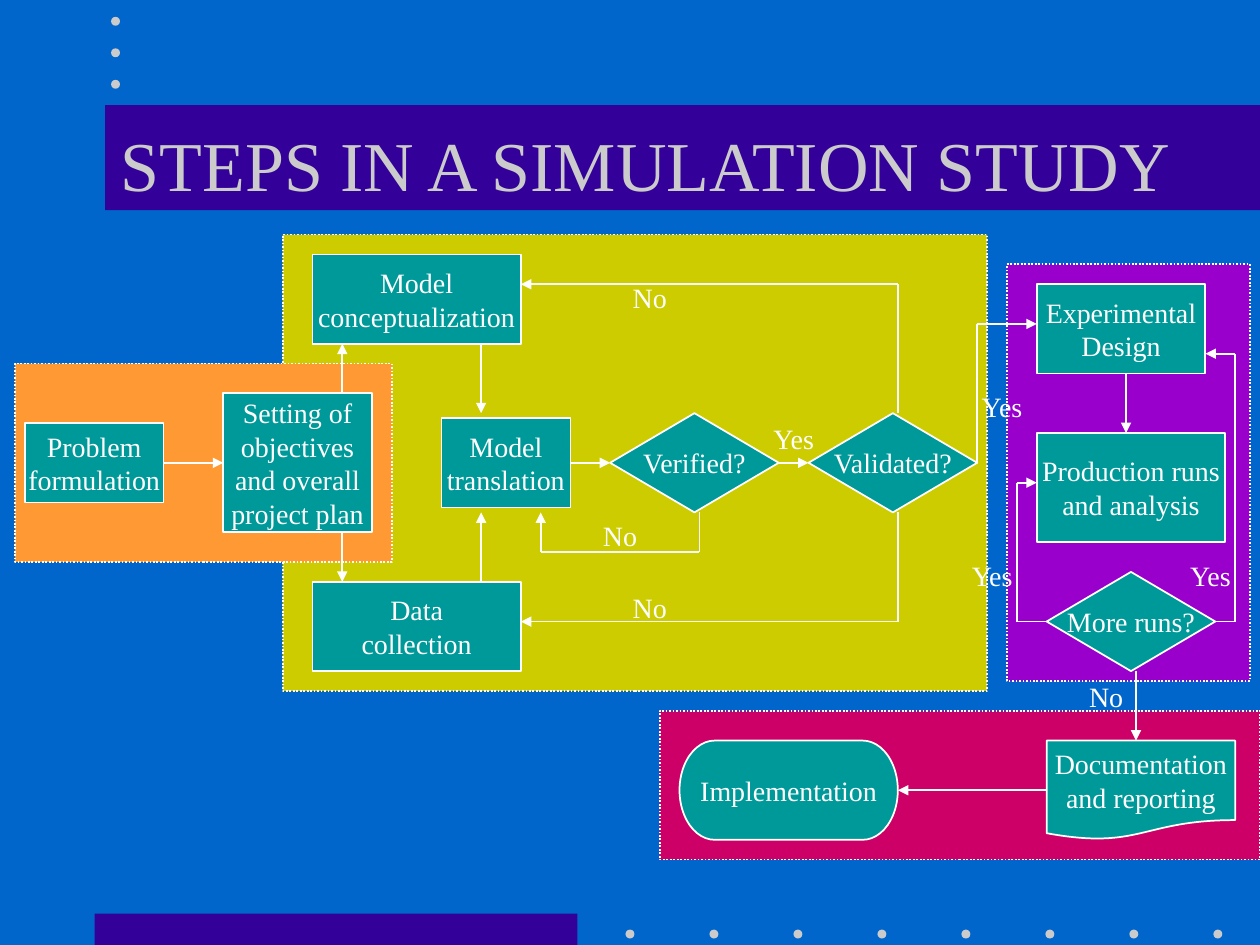
from itertools import pairwise

from lxml import etree
from pptx import Presentation
from pptx import util as u
from pptx.dml.color import RGBColor
from pptx.enum import dml, shapes, text
from pptx.oxml.ns import qn

BLUE = RGBColor(0x00, 0x66, 0xCC)
INDIGO = RGBColor(0x33, 0x00, 0x99)
GREY = RGBColor(0xCB, 0xCB, 0xCB)
WHITE = RGBColor(0xFF, 0xFF, 0xFF)
TEAL = RGBColor(0x00, 0x99, 0x99)
PINK = RGBColor(0xCC, 0x00, 0x66)
PURPLE = RGBColor(0x99, 0x00, 0xCC)
YELLOW = RGBColor(0xCC, 0xCC, 0x00)
ORANGE = RGBColor(0xFF, 0x99, 0x33)
FONT = "Times New Roman"
KIND = shapes.MSO_SHAPE
BAND_H = 2.12
DOT = 0.18


def write(frame, wording, size=16, color=WHITE):
    """Fill a text frame with centred lines."""
    frame.text = wording
    for paragraph in frame.paragraphs:
        paragraph.alignment = text.PP_ALIGN.CENTER
        for run in paragraph.runs:
            run.font.name = FONT
            run.font.size = u.Pt(size)
            run.font.color.rgb = color


def block(slide, kind, box, fill, outline=None):
    """Add a flat shape with an optional outline colour."""
    shape = slide.shapes.add_shape(kind, *map(u.Cm, box))
    shape.shadow.inherit = False
    shape.fill.solid()
    shape.fill.fore_color.rgb = fill
    if outline is None:
        shape.line.fill.background()
    else:
        shape.line.color.rgb = outline
        shape.line.width = u.Pt(1)
    return shape


def panel(slide, box, fill):
    """Add the dotted background of a phase."""
    backdrop = block(slide, KIND.RECTANGLE, box, fill, WHITE)
    backdrop.line.dash_style = dml.MSO_LINE.ROUND_DOT


def step(slide, box, place, wording, kind=KIND.RECTANGLE):
    """Add a step of the study, placed relative to its phase box."""
    x, y, width, height = place
    shape = block(slide, kind, (box[0] + x, box[1] + y, width, height), TEAL, WHITE)
    frame = shape.text_frame
    frame.word_wrap = False
    frame.vertical_anchor = text.MSO_ANCHOR.MIDDLE
    write(frame, wording)


def route(slide, box, *points):
    """Join points with straight lines, ending in an arrowhead."""
    placed = [(u.Cm(box[0] + x), u.Cm(box[1] + y)) for x, y in points]
    for start, end in pairwise(placed):
        link = slide.shapes.add_connector(shapes.MSO_CONNECTOR.STRAIGHT, *start, *end)
        link.line.color.rgb = WHITE
        link.line.width = u.Pt(1)
        etree.SubElement(link.element.spPr, qn("a:effectLst"))
    etree.SubElement(link.line._get_or_add_ln(), qn("a:tailEnd"), type="triangle")


def answer(slide, box, x, y, wording):
    """Add a Yes or No label."""
    width = 1.2 if wording == "No" else 1.8
    label = slide.shapes.add_textbox(*map(u.Cm, (box[0] + x, box[1] + y, width, 0.94)))
    label.text_frame.word_wrap = True
    write(label.text_frame, wording)


def heading(slide, box):
    """Add the title band with its text and the dots above."""
    x, y, width, height = box
    block(slide, KIND.RECTANGLE, box, INDIGO)
    for i in range(3):
        block(slide, KIND.OVAL, (x + 0.12, y - 1.78 + i * 0.635, DOT, DOT), GREY)
    title = slide.shapes.add_textbox(
        *map(u.Cm, (x - 0.21, y - 0.42, 22.2, height + 1.06)))
    title.text_frame.word_wrap = True
    title.text_frame.vertical_anchor = text.MSO_ANCHOR.MIDDLE
    write(title.text_frame, "STEPS IN A SIMULATION STUDY", 40, GREY)


def footer(slide, box):
    """Add the bottom bar and its row of dots."""
    x, y, width, height = box
    block(slide, KIND.RECTANGLE, box, INDIGO)
    for i in range(8):
        dot = (x + width + 0.97 + i * 1.693, y + 0.32, DOT, DOT)
        block(slide, KIND.OVAL, dot, GREY)


def planning(slide, box):
    """Add problem formulation and project planning."""
    step(slide, box, (0.2, 1.2, 2.8, 1.6), "Problem\nformulation")
    step(slide, box, (4.2, 0.6, 3, 2.8),
         "Setting of\nobjectives\nand overall\nproject plan")
    route(slide, box, (3, 2), (4.2, 2))
    route(slide, box, (6.6, 3.4), (6.6, 4.4))
    route(slide, box, (6.6, 0.6), (6.6, -0.4))


def modelling(slide, box):
    """Add model building, verification and validation."""
    step(slide, box, (0.6, 0.4, 4.2, 1.8), "Model\nconceptualization")
    step(slide, box, (0.6, 7, 4.2, 1.8), "Data\ncollection")
    step(slide, box, (3.2, 3.7, 2.6, 1.8), "Model\ntranslation")
    for x, wording in ((6.6, "Verified?"), (10.6, "Validated?")):
        step(slide, box, (x, 3.6, 3.4, 2), wording, KIND.DIAMOND)
    route(slide, box, (4, 2.2), (4, 3.6))
    route(slide, box, (4, 7), (4, 5.6))
    route(slide, box, (5.8, 4.6), (6.6, 4.6))
    route(slide, box, (10, 4.6), (10.6, 4.6))
    route(slide, box, (8.4, 5.6), (8.4, 6.4), (5.2, 6.4), (5.2, 5.6))
    route(slide, box, (12.4, 5.6), (12.4, 7.8), (4.8, 7.8))
    route(slide, box, (12.4, 3.6), (12.4, 1), (4.8, 1))
    route(slide, box, (14, 4.6), (14, 1.8), (15.2, 1.8))
    for x, y, wording in ((6.2, 5.6, "No"), (6.8, 7.05, "No"), (6.8, 0.8, "No"),
                          (9.4, 3.65, "Yes"), (13.6, 3, "Yes")):
        answer(slide, box, x, y, wording)


def experiments(slide, box):
    """Add experimental design, production runs and the rerun decision."""
    step(slide, box, (0.6, 0.4, 3.4, 1.8), "Experimental\nDesign")
    step(slide, box, (0.6, 3.4, 3.8, 2.2), "Production runs\nand analysis")
    step(slide, box, (0.8, 6.2, 3.4, 2), "More runs?", KIND.DIAMOND)
    route(slide, box, (2.4, 2.2), (2.4, 3.4))
    route(slide, box, (0.8, 7.2), (0.2, 7.2), (0.2, 4.4), (0.6, 4.4))
    route(slide, box, (4.2, 7.2), (4.6, 7.2), (4.6, 1.8), (4, 1.8))
    route(slide, box, (2.6, 8.2), (2.6, 9.6))
    for x, y, wording in ((-1.2, 5.8, "Yes"), (3.2, 5.8, "Yes"), (1.4, 8.25, "No")):
        answer(slide, box, x, y, wording)


def delivery(slide, box):
    """Add documentation and implementation."""
    step(slide, box, (7.8, 0.6, 3.8, 2), "Documentation\nand reporting",
         KIND.FLOWCHART_DOCUMENT)
    step(slide, box, (0.4, 0.6, 4.4, 2), "Implementation", KIND.FLOWCHART_TERMINATOR)
    route(slide, box, (7.8, 1.6), (4.8, 1.6))


def main():
    """Build and save the slide."""
    deck = Presentation()
    deck.slide_width, deck.slide_height = u.Cm(25.4), u.Cm(19.05)
    slide = deck.slides.add_slide(deck.slide_layouts[6])
    slide.background.fill.solid()
    slide.background.fill.fore_color.rgb = BLUE
    footer(slide, (1.91, 18.42, 9.73, 0.63))
    heading(slide, (2.12, 2.12, 23.28, BAND_H))
    phases = (
        (delivery, (13.3, 14.33, 12.1, 3), PINK),
        (experiments, (20.3, 5.33, 4.9, 8.4), PURPLE),
        (modelling, (5.7, 4.73, 14.2, 9.2), YELLOW),
        (planning, (0.3, 7.33, 7.6, 4), ORANGE),
    )
    for _, box, fill in phases:
        panel(slide, box, fill)
    for build, box, _ in phases:
        build(slide, box)
    deck.save("out.pptx")


if __name__ == "__main__":
    main()
